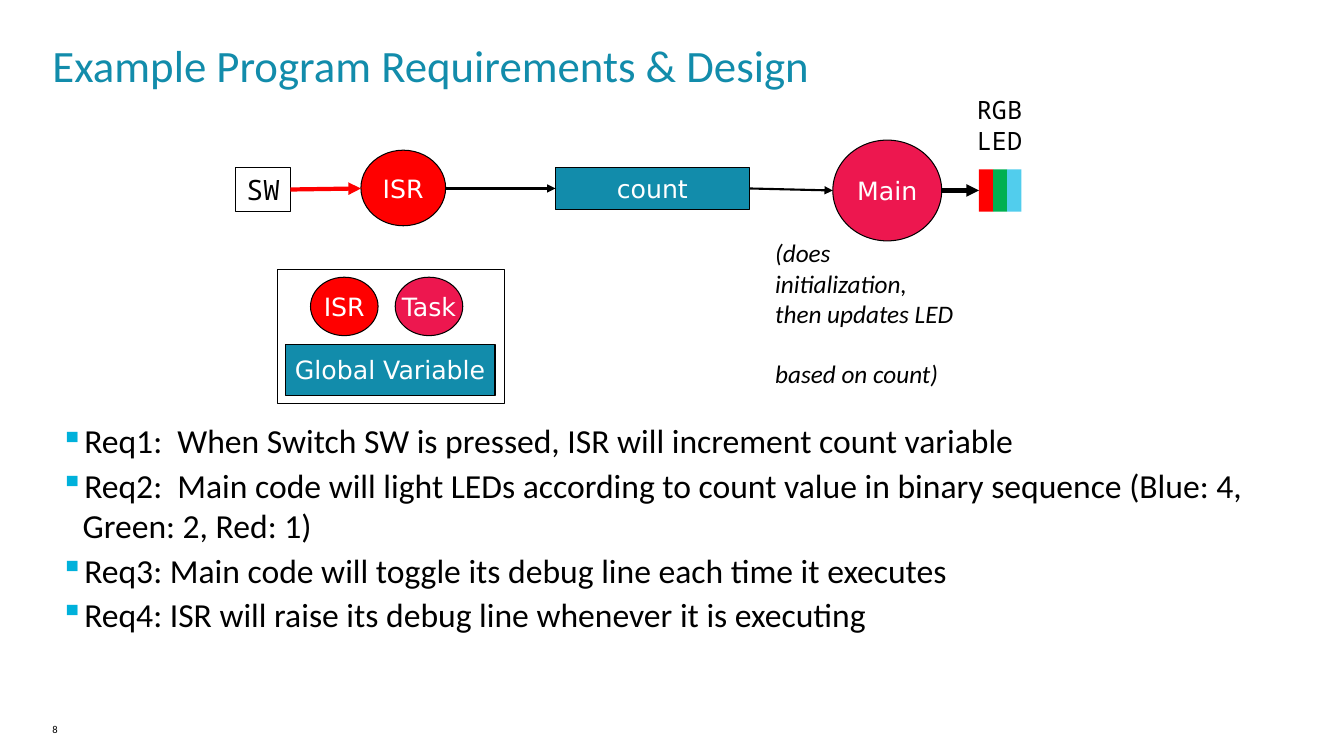
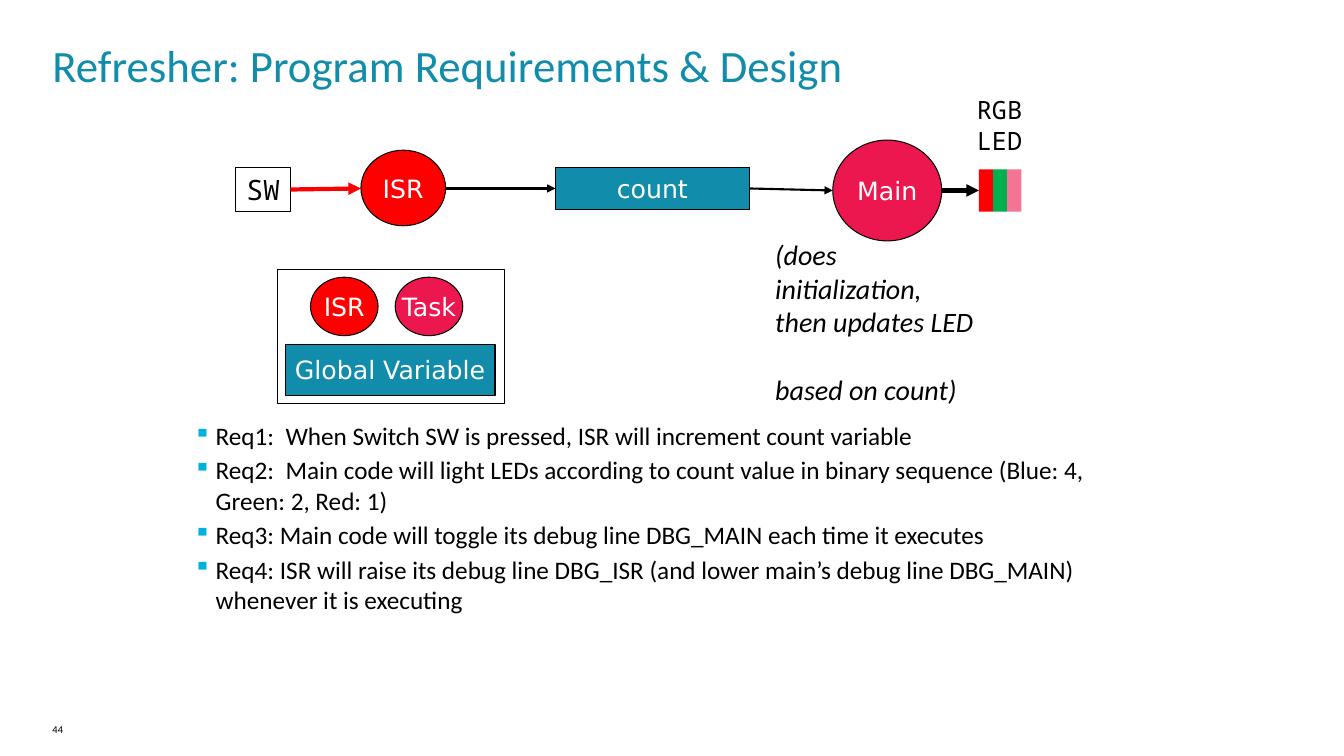
"""Build two slides on the requirements and design of an interrupt-driven program."""
from dataclasses import dataclass
from typing import Any, Optional, Sequence

import lxml.etree
import pptx
import pptx.dml.color
import pptx.enum.shapes
import pptx.enum.text
import pptx.oxml.ns
import pptx.util

EMU_PER_PX = 9144
ELLIPSE = pptx.enum.shapes.MSO_SHAPE.OVAL
RECTANGLE = pptx.enum.shapes.MSO_SHAPE.RECTANGLE
LEFT = pptx.enum.text.PP_ALIGN.LEFT
CENTER = pptx.enum.text.PP_ALIGN.CENTER
TOP = pptx.enum.text.MSO_ANCHOR.TOP
MIDDLE = pptx.enum.text.MSO_ANCHOR.MIDDLE
SIDE_LEFT, SIDE_RIGHT = 1, 3


@dataclass(frozen=True)
class Theme:
    """Colours, fonts and type sizes shared by the slides."""
    black: str = "000000"
    white: str = "FFFFFF"
    teal: str = "128CAB"
    red: str = "FF0000"
    crimson: str = "ED174F"
    green: str = "00B050"
    sky: str = "51CDED"
    pink: str = "F47495"
    bullet: str = "00B1DB"
    body_font: str = "Calibri"
    node_font: str = "DejaVu Sans"
    code_font: str = "Noto Sans Mono"
    title_size: float = 32
    label_size: float = 18
    switch_size: float = 20
    number_size: float = 7.5
    outline: float = 0.75


THEME = Theme()


@dataclass(frozen=True)
class Box:
    """A rectangle in px."""
    left: int
    top: int
    width: int
    height: int

    def emu(self) -> tuple[int, ...]:
        """Return the four lengths in EMU."""
        return tuple(px(v) for v in (self.left, self.top, self.width, self.height))


@dataclass(frozen=True)
class Node:
    """An outlined, labelled shape of the diagram or its legend."""
    label: str
    box: Box
    kind: Any = RECTANGLE
    fill: Optional[str] = THEME.teal
    color: str = THEME.white
    font: str = THEME.node_font
    size: float = THEME.label_size


@dataclass(frozen=True)
class Arrow:
    """An arrow in px, with the names of the rectangles it joins."""
    start: tuple[int, int]
    end: tuple[int, int]
    width: float
    color: str = THEME.black
    begin_node: Optional[str] = None
    end_node: Optional[str] = None


@dataclass(frozen=True)
class Page:
    """What differs from one slide to the next."""
    number: str
    title: str
    requirements: tuple[str, ...]
    body: Box
    body_size: float
    note_width: int
    note_size: float
    last_led: str


TITLE_BOX = Box(52, 37, 1221, 63)
NUMBER_BOX = Box(52, 717, 143, 26)
LED_LABEL_BOX = Box(959, 89, 66, 71)
LED_BOX = Box(971, 168, 14, 42)
NOTE = ("(does initialization,", "then updates LED", "based on count)")

NODES = (
    Node("", Box(275, 267, 225, 133), fill=None),
    Node("Global Variable", Box(283, 342, 208, 50)),
    Node("ISR", Box(308, 275, 67, 58), ELLIPSE, THEME.red),
    Node("Task", Box(392, 275, 67, 58), ELLIPSE, THEME.crimson),
    Node("SW", Box(234, 166, 54, 44), fill=None, color=THEME.black,
         font=THEME.code_font, size=THEME.switch_size),
    Node("ISR", Box(358, 149, 84, 75), ELLIPSE, THEME.red),
    Node("count", Box(551, 166, 192, 42)),
    Node("Main", Box(826, 139, 108, 100), ELLIPSE, THEME.crimson),
)

ARROWS = (
    Arrow((288, 188), (358, 187), 3, THEME.red, begin_node="SW"),
    Arrow((442, 187), (551, 187), 1.5, end_node="count"),
    Arrow((743, 187), (826, 189), 1.5, begin_node="count"),
    Arrow((934, 189), (971, 189), 3, end_node="LED"),
)

SHARED_REQUIREMENTS = (
    "Req1:  When Switch SW is pressed, ISR will increment count variable",
    "Req2:  Main code will light LEDs according to count value in binary sequence "
    "(Blue: 4, Green: 2, Red: 1)",
)

PAGES = (
    Page("8", "Example Program Requirements & Design",
         SHARED_REQUIREMENTS + (
             "Req3: Main code will toggle its debug line each time it executes",
             "Req4: ISR will raise its debug line whenever it is executing"),
         Box(60, 417, 1213, 300), 24, 201, 18, THEME.sky),
    Page("44", "Refresher: Program Requirements & Design",
         SHARED_REQUIREMENTS + (
             "Req3: Main code will toggle its debug line DBG_MAIN each time it executes",
             "Req4: ISR will raise its debug line DBG_ISR (and lower main’s debug line "
             "DBG_MAIN) whenever it is executing"),
         Box(192, 417, 950, 300), 18, 222, 20, THEME.pink),
)


def px(length: int) -> int:
    """Turn px into EMU."""
    return length * EMU_PER_PX


def rgb(color: str) -> pptx.dml.color.RGBColor:
    """Turn a hexadecimal string into a colour."""
    return pptx.dml.color.RGBColor.from_string(color)


def add_child(parent: Any, tag: str, **attributes: str) -> Any:
    """Append a DrawingML element to a parent."""
    return lxml.etree.SubElement(parent, pptx.oxml.ns.qn(tag), attributes)


def write_text(shape: Any, lines: Sequence[str], *, size: float,
               font: str = THEME.body_font, color: str = THEME.black,
               italic: bool = False, alignment: Any = LEFT, anchor: Any = TOP,
               wrap: bool = True, inset: bool = True, space_before: float = 0) -> Any:
    """Write one paragraph per line into a shape and return its text frame."""
    frame = shape.text_frame
    frame.auto_size = pptx.enum.text.MSO_AUTO_SIZE.NONE
    frame.word_wrap = wrap
    frame.vertical_anchor = anchor
    if not inset:
        frame.margin_left = frame.margin_top = frame.margin_right = frame.margin_bottom = 0
    for index, line in enumerate(lines):
        paragraph = frame.add_paragraph() if index else frame.paragraphs[0]
        paragraph.text = line
        paragraph.alignment = alignment
        paragraph.space_before = pptx.util.Pt(space_before)
        for run in paragraph.runs:
            run.font.name = font
            run.font.size = pptx.util.Pt(size)
            run.font.italic = italic
            run.font.color.rgb = rgb(color)
    return frame


def add_text(slide: Any, box: Box, lines: Sequence[str], **text_format: Any) -> Any:
    """Add a text box and return its text frame."""
    return write_text(slide.shapes.add_textbox(*box.emu()), lines, **text_format)


def add_shape(slide: Any, kind: Any, box: Box, fill: Optional[str],
              outline: Optional[str] = None) -> Any:
    """Add a flat preset shape."""
    shape = slide.shapes.add_shape(kind, *box.emu())
    shape.shadow.inherit = False
    if fill:
        shape.fill.solid()
        shape.fill.fore_color.rgb = rgb(fill)
    else:
        shape.fill.background()
    if outline:
        shape.line.color.rgb = rgb(outline)
        shape.line.width = pptx.util.Pt(THEME.outline)
    else:
        shape.line.fill.background()
    return shape


def add_node(slide: Any, node: Node) -> Any:
    """Add a node with its centred label."""
    shape = add_shape(slide, node.kind, node.box, node.fill, THEME.black)
    if node.label:
        write_text(shape, [node.label], size=node.size, font=node.font, color=node.color,
                   alignment=CENTER, anchor=MIDDLE, wrap=False)
    return shape


def add_arrow(slide: Any, arrow: Arrow, rectangles: dict[str, Any]) -> None:
    """Add an arrow and join it to the rectangles it touches."""
    connector = slide.shapes.add_connector(
        pptx.enum.shapes.MSO_CONNECTOR.STRAIGHT,
        *(px(value) for value in arrow.start + arrow.end))
    if arrow.begin_node:
        connector.begin_connect(rectangles[arrow.begin_node], SIDE_RIGHT)
    if arrow.end_node:
        connector.end_connect(rectangles[arrow.end_node], SIDE_LEFT)
    connector.line.color.rgb = rgb(arrow.color)
    connector.line.width = pptx.util.Pt(arrow.width)
    add_child(connector.line._get_or_add_ln(), "a:tailEnd", type="triangle")
    add_child(connector._element.spPr, "a:effectLst")


def add_leds(slide: Any, colors: Sequence[str]) -> Any:
    """Add the LED stripes side by side and return the first."""
    stripes = [
        add_shape(slide, RECTANGLE, Box(LED_BOX.left + index * LED_BOX.width, LED_BOX.top,
                                        LED_BOX.width, LED_BOX.height), color)
        for index, color in enumerate(colors)]
    return stripes[0]


def add_diagram(slide: Any, page: Page) -> None:
    """Add the data flow diagram and its legend."""
    shapes = {node.label: add_node(slide, node) for node in NODES}
    shapes["LED"] = add_leds(slide, (THEME.red, THEME.green, page.last_led))
    for arrow in ARROWS:
        add_arrow(slide, arrow, shapes)
    add_text(slide, LED_LABEL_BOX, ["RGB\nLED"], size=THEME.label_size,
             font=THEME.code_font, wrap=False)
    note = add_text(slide, Box(759, 231, page.note_width, 170), NOTE,
                    size=page.note_size, italic=True)
    note.paragraphs[-1].space_before = pptx.util.Pt(page.note_size * 1.2)


def add_requirements(slide: Any, page: Page) -> None:
    """Add the bulleted requirements."""
    frame = add_text(slide, page.body, page.requirements, size=page.body_size,
                     inset=False, space_before=3)
    for paragraph in frame.paragraphs:
        properties = paragraph._p.get_or_add_pPr()
        properties.set("marL", str(px(22)))
        properties.set("indent", str(px(-22)))
        add_child(add_child(properties, "a:buClr"), "a:srgbClr", val=THEME.bullet)
        add_child(properties, "a:buSzPct", val="95000")
        add_child(properties, "a:buChar", char="▪")


def add_page(presentation: Any, page: Page) -> None:
    """Add one slide."""
    slide = presentation.slides.add_slide(presentation.slide_layouts.get_by_name("Title Only"))
    title = slide.shapes.title
    title.left, title.top, title.width, title.height = TITLE_BOX.emu()
    write_text(title, [page.title], size=THEME.title_size, color=THEME.teal, inset=False)
    add_requirements(slide, page)
    add_diagram(slide, page)
    add_text(slide, NUMBER_BOX, [page.number], size=THEME.number_size, inset=False)


def main() -> None:
    """Build and save the presentation."""
    presentation = pptx.Presentation()
    presentation.slide_width, presentation.slide_height = px(1333), px(750)
    for page in PAGES:
        add_page(presentation, page)
    presentation.save("out.pptx")


if __name__ == "__main__":
    main()
